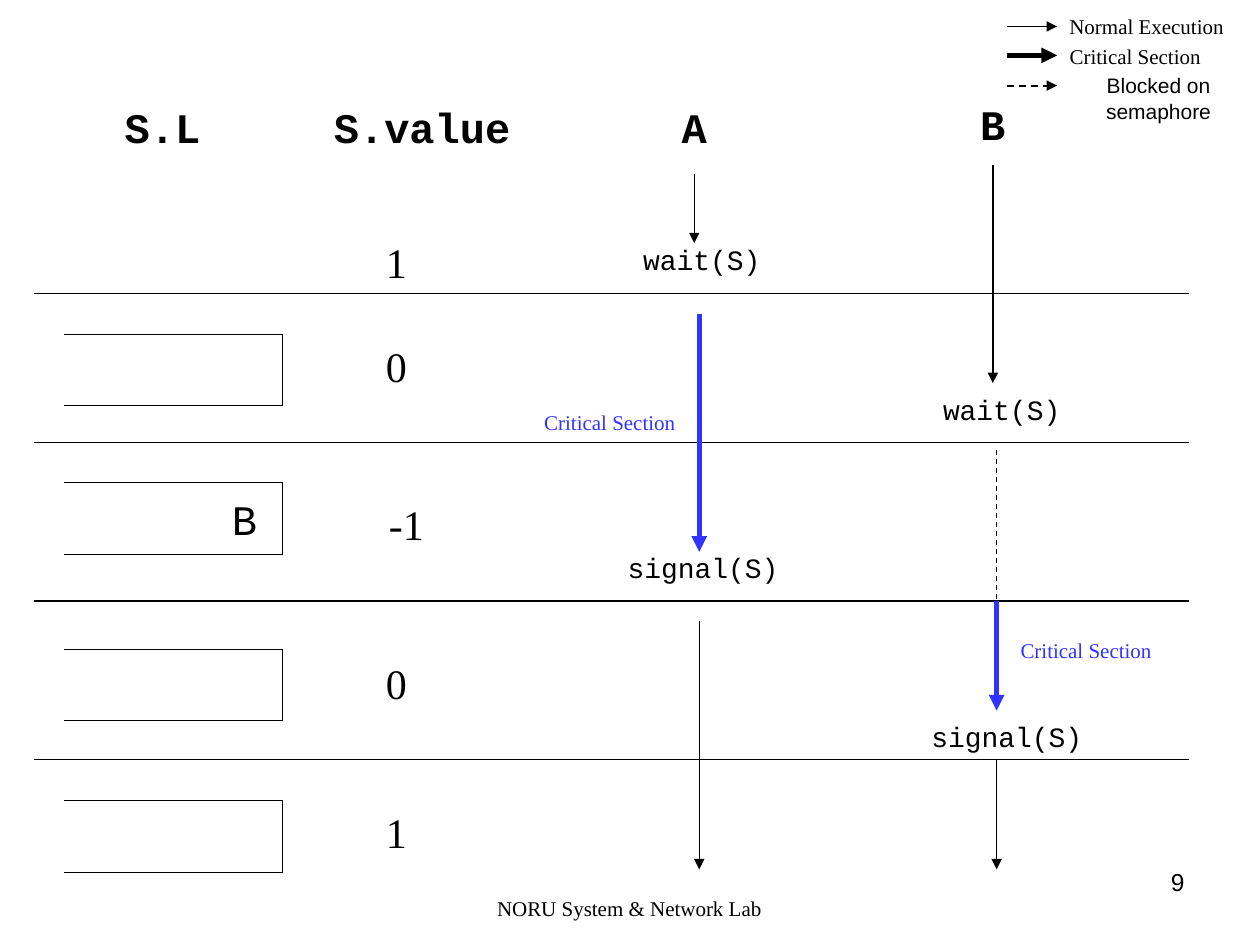
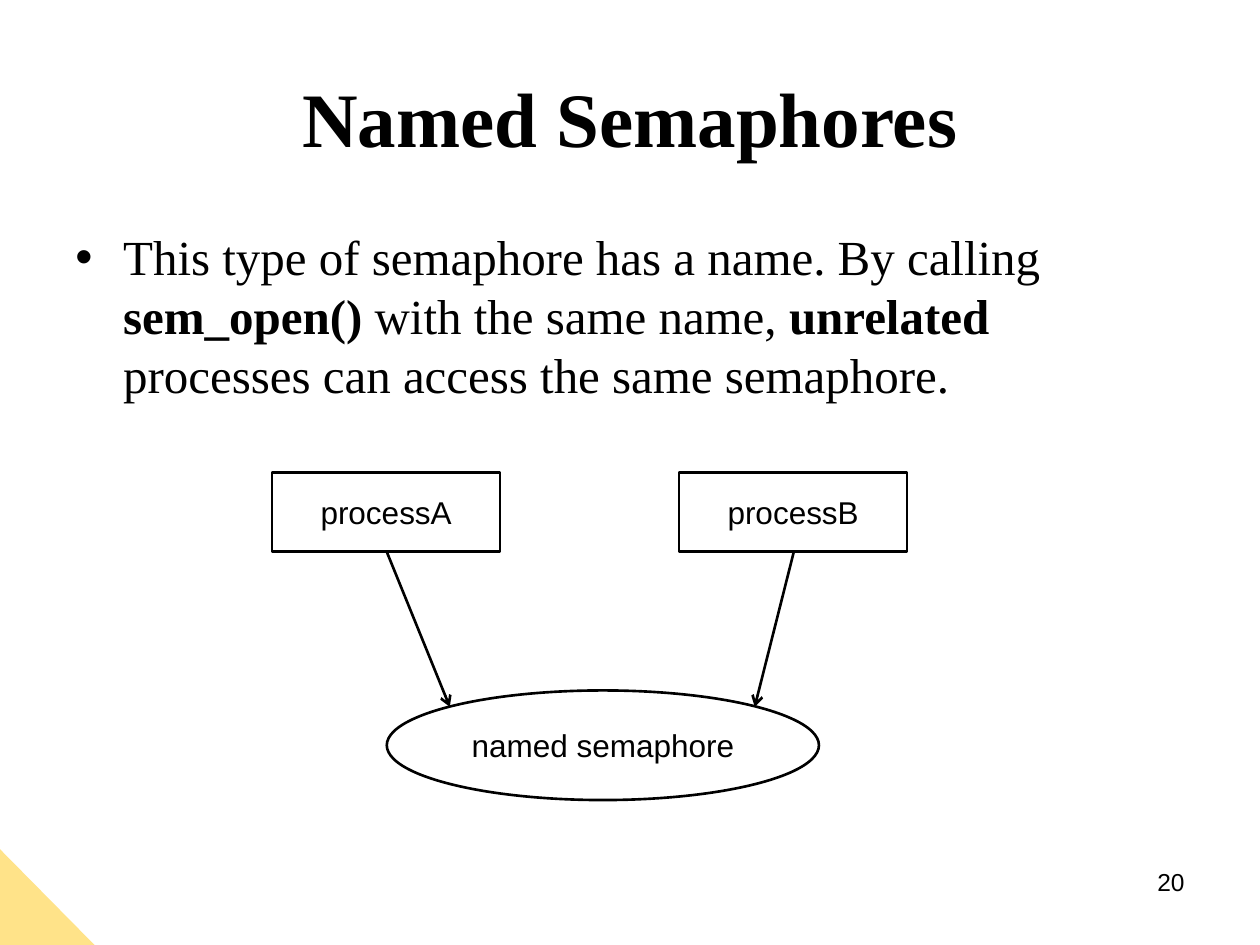
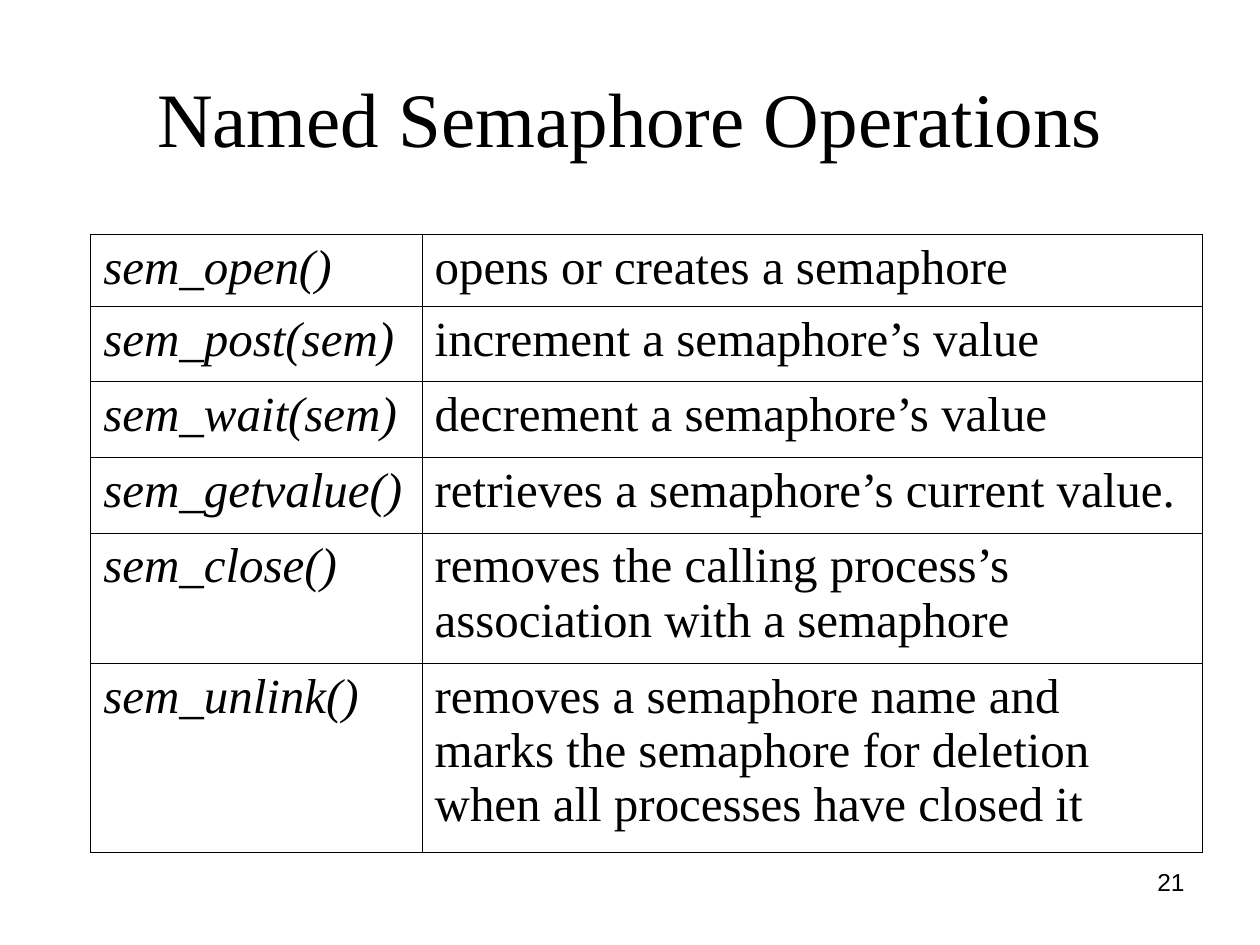
from lxml.etree import SubElement as Sub
from pptx import Presentation
from pptx.dml.color import RGBColor
from pptx.enum.dml import MSO_LINE as Dash
from pptx.enum.shapes import MSO_CONNECTOR as Link, MSO_SHAPE as Shape
from pptx.enum.text import MSO_ANCHOR as Anchor, PP_ALIGN as Align
from pptx.oxml.ns import qn
from pptx.util import Inches, Pt

BLACK = RGBColor(0x00, 0x00, 0x00)
BLUE = RGBColor(0x33, 0x33, 0xFF)
GOLD = RGBColor(0xFF, 0xE3, 0x89)
WHITE = RGBColor(0xFF, 0xFF, 0xFF)
SERIF, SANS, MONO = "Times New Roman", "Arial", "Courier New"


def write(frame, text, size=12, font=SERIF, color=BLACK, bold=False, italic=False,
          align=Align.CENTER, anchor=Anchor.TOP, wrap=True):
    frame.word_wrap = wrap
    frame.vertical_anchor = anchor
    for n, line in enumerate(text.split("\n")):
        para = frame.add_paragraph() if n else frame.paragraphs[0]
        para.alignment = align
        for k, part in enumerate(line.split("**")):
            if part:
                run = para.add_run()
                run.text = part
                run.font.size = Pt(size)
                run.font.name = font
                run.font.color.rgb = color
                run.font.bold = bold or k % 2 == 1
                run.font.italic = italic


def draw(slide, x1, y1, x2, y2, color=BLACK, width=0.75, head=None, dash=None):
    line = slide.shapes.add_connector(Link.STRAIGHT, Inches(x1), Inches(y1),
                                      Inches(x2), Inches(y2))
    line.line.color.rgb = color
    line.line.width = Pt(width)
    if dash:
        line.line.dash_style = dash
    if head:
        Sub(line.get_or_add_ln(), qn("a:tailEnd"), type=head)
    Sub(line.element.spPr, qn("a:effectLst"))


deck = Presentation()
deck.slide_width, deck.slide_height = Inches(10), Inches(7.5)
trace, named, ops = [deck.slides.add_slide(deck.slide_layouts[6]) for _ in range(3)]

for slide, page in ((trace, "9"), (named, "20"), (ops, "21")):
    slide.background.fill.solid()
    slide.background.fill.fore_color.rgb = WHITE
    box = slide.shapes.add_textbox(Inches(7.17), Inches(6.83), Inches(2.33), Inches(0.52))
    write(box.text_frame, page, size=14, font=SANS, align=Align.RIGHT)

for slide, title, bold in ((named, "Named Semaphores", True),
                           (ops, "Named Semaphore Operations", False)):
    box = slide.shapes.add_textbox(Inches(0.5), Inches(0.3), Inches(9), Inches(1.25))
    write(box.text_frame, title, size=44, bold=bold, anchor=Anchor.MIDDLE)

calls = [
    ("sem_open()", "opens or creates a semaphore"),
    ("sem_post(sem)", "increment a semaphore’s value"),
    ("sem_wait(sem)", "decrement a semaphore’s value"),
    ("sem_getvalue()", "retrieves a semaphore’s current value."),
    ("sem_close()", "removes the calling process’s association with a semaphore"),
    ("sem_unlink()", "removes a semaphore name and marks the semaphore for deletion "
                     "when all processes have closed it"),
]
grids = [(trace, 0.51, top, [1.73], [0.57], [("",)], "RTB")
         for top in (2.65, 3.83, 5.15, 6.35)]
grids.append((ops, 0.72, 1.86, [2.63, 6.19], [0.57, 0.6, 0.6, 0.6, 1.03, 1.5], calls, "LRTB"))

for slide, left, top, cols, rows, data, sides in grids:
    grid = slide.shapes.add_table(len(rows), len(cols), Inches(left), Inches(top),
                                  Inches(sum(cols)), Inches(sum(rows))).table
    grid.first_row = grid.horz_banding = False
    for col, width in zip(grid.columns, cols):
        col.width = Inches(width)
    for r, height in enumerate(rows):
        grid.rows[r].height = Inches(height)
        for c, text in enumerate(data[r]):
            cell = grid.cell(r, c)
            props = cell._tc.get_or_add_tcPr()
            for side in "LRTB":
                edge = Sub(props, qn("a:ln" + side), w=str(Pt(0.45)))
                if side in sides:
                    Sub(Sub(edge, qn("a:solidFill")), qn("a:srgbClr"), val=str(BLACK))
                else:
                    Sub(edge, qn("a:noFill"))
            if text:
                cell.fill.solid()
                cell.fill.fore_color.rgb = WHITE
                write(cell.text_frame, text, size=28, italic=c == 0, align=Align.LEFT)
            else:
                cell.fill.background()

for y in (2.33, 3.51, 4.77, 6.03):
    draw(trace, 0.27, y, 9.44, y)
for x, y1, y2 in ((5.51, 1.38, 1.93), (7.88, 1.31, 3.04), (5.55, 4.93, 6.9), (7.91, 6.03, 6.9)):
    draw(trace, x, y1, x, y2, head="triangle")
for x, y1, y2 in ((5.55, 2.49, 4.38), (7.91, 4.77, 5.64)):
    draw(trace, x, y1, x, y2, color=BLUE, width=3, head="triangle")
draw(trace, 7.91, 3.57, 7.91, 4.75, dash=Dash.DASH)
for y, width, dash in ((0.21, 0.75, None), (0.44, 3, None), (0.68, 1, Dash.DASH)):
    draw(trace, 7.99, y, 8.39, y, width=width, dash=dash, head="triangle")

head = dict(size=24, font=MONO, bold=True, wrap=False)
call = dict(size=16, font=MONO, wrap=False)
count = dict(size=24)
key = dict(wrap=False)
zone = dict(color=BLUE, wrap=False)
labels = [
    ("S.L", 0.89, 0.76, 0.8, 0.5, head),
    ("S.value", 2.5, 0.76, 1.7, 0.5, head),
    ("A", 5.31, 0.76, 0.4, 0.5, head),
    ("B", 7.68, 0.73, 0.4, 0.5, head),
    ("B", 1.74, 3.87, 0.4, 0.5, dict(head, bold=False)),
    ("wait(S)", 4.97, 1.88, 1.2, 0.37, call),
    ("wait(S)", 7.35, 3.07, 1.2, 0.37, call),
    ("signal(S)", 4.83, 4.32, 1.5, 0.37, call),
    ("signal(S)", 7.24, 5.66, 1.5, 0.37, call),
    ("1", 2.95, 1.83, 0.39, 0.5, count),
    ("0", 2.95, 2.65, 0.39, 0.5, count),
    ("-1", 2.95, 3.91, 0.55, 0.5, count),
    ("0", 2.95, 5.17, 0.39, 0.5, count),
    ("1", 2.95, 6.35, 0.39, 0.5, count),
    ("Normal Execution", 8.34, 0.06, 1.52, 0.3, key),
    ("Critical Section", 8.36, 0.3, 1.3, 0.3, key),
    ("Blocked on\nsemaphore", 8.39, 0.53, 1.61, 0.5, dict(font=SANS)),
    ("Critical Section", 4.19, 3.2, 1.3, 0.3, zone),
    ("Critical Section", 7.97, 5.01, 1.3, 0.3, zone),
    ("NORU System & Network Lab", 2.87, 7.06, 4.25, 0.24, {}),
]
for text, x, y, w, h, style in labels:
    box = trace.shapes.add_textbox(Inches(x), Inches(y), Inches(w), Inches(h))
    write(box.text_frame, text, **style)

body = named.shapes.add_textbox(Inches(0.5), Inches(1.75), Inches(9), Inches(4.95))
write(body.text_frame, "This type of semaphore has a name. By calling **sem_open() **with the "
      "same name, **unrelated** processes can access the same semaphore.",
      size=28, align=Align.LEFT)
para = body.text_frame.paragraphs[0]
para.space_before = Pt(7)
props = para._p.get_or_add_pPr()
props.set("marL", str(Inches(0.38)))
props.set("indent", str(-Inches(0.38)))
Sub(props, qn("a:buFont"), typeface=SANS)
Sub(props, qn("a:buChar"), char="•")

for kind, text, x, y, w, h in (
        (Shape.RECTANGLE, "processA", 2.16, 3.75, 1.81, 0.63),
        (Shape.RECTANGLE, "processB", 5.39, 3.75, 1.81, 0.63),
        (Shape.OVAL, "named semaphore", 3.07, 5.48, 3.43, 0.87)):
    node = named.shapes.add_shape(kind, Inches(x), Inches(y), Inches(w), Inches(h))
    node.shadow.inherit = False
    node.fill.background()
    node.line.color.rgb = BLACK
    node.line.width = Pt(1.5)
    write(node.text_frame, text, size=18, font=SANS, anchor=Anchor.MIDDLE, wrap=False)
for x1, x2 in ((3.07, 3.57), (6.3, 5.99)):
    draw(named, x1, 4.38, x2, 5.61, width=1.5, head="arrow")

wedge = named.shapes.add_shape(Shape.RIGHT_TRIANGLE, Inches(0), Inches(6.74),
                               Inches(0.75), Inches(0.76))
wedge.shadow.inherit = False
wedge.fill.solid()
wedge.fill.fore_color.rgb = GOLD
wedge.line.fill.background()

deck.save("out.pptx")
